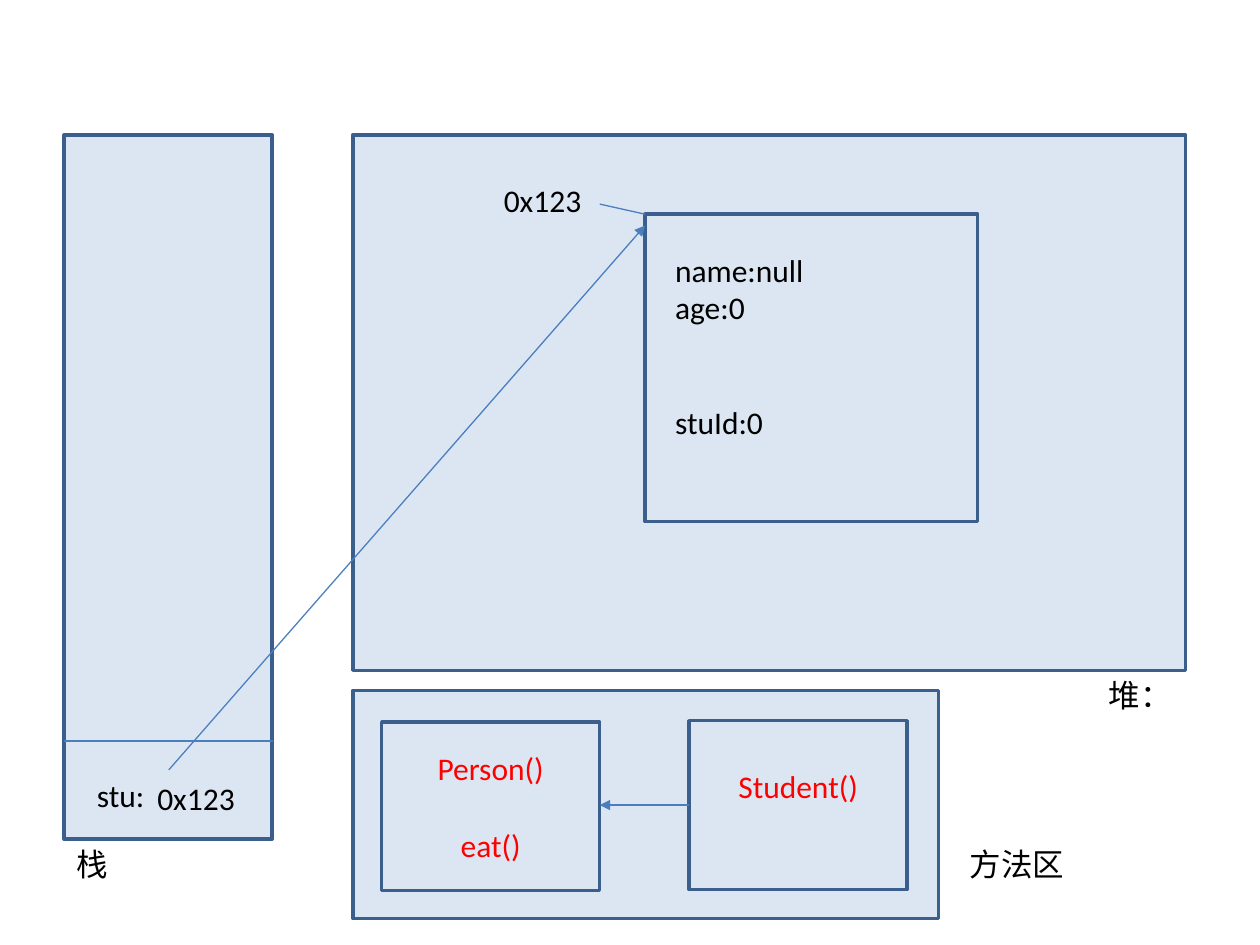
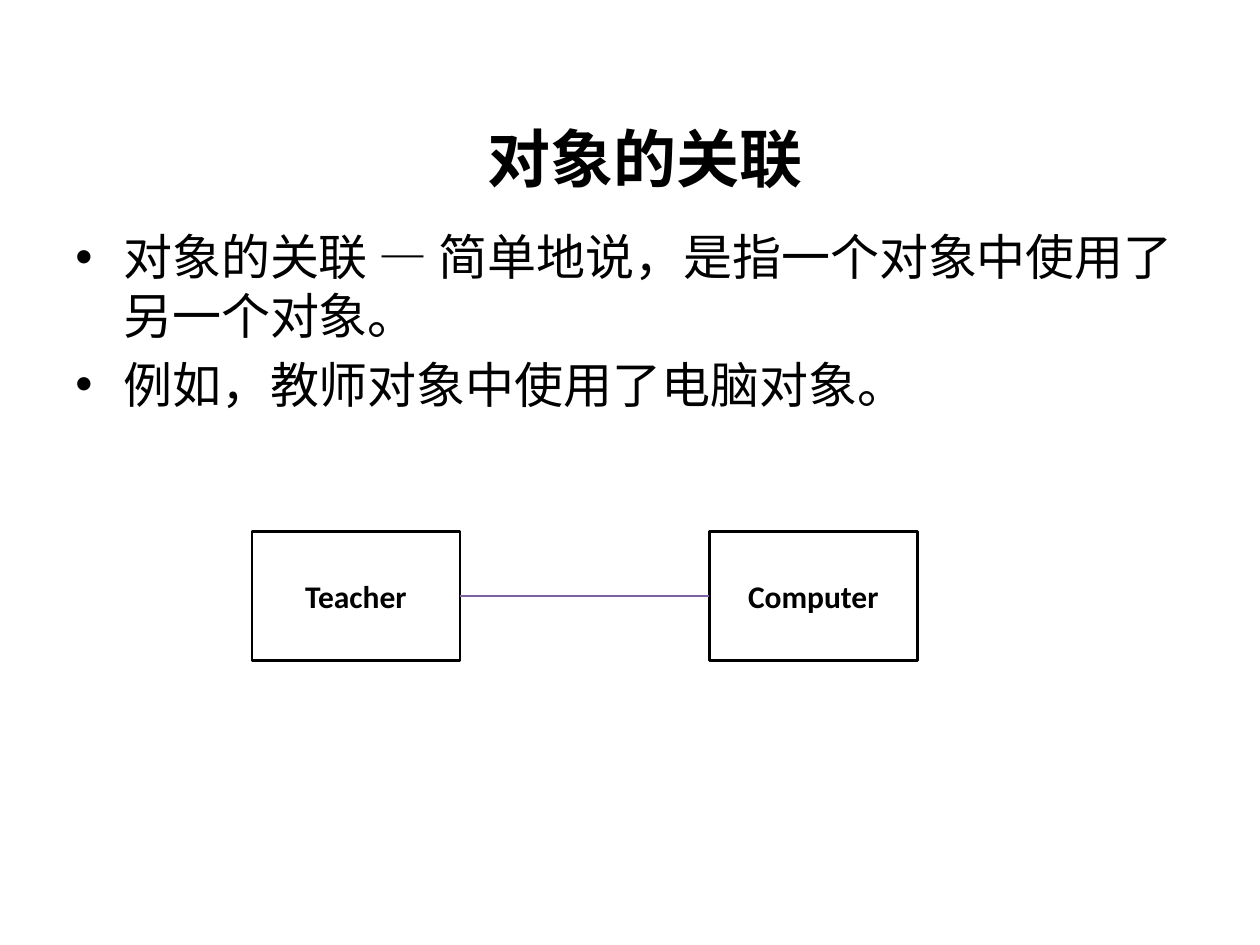
"""Build two slides on object memory layout and object association."""
from dataclasses import dataclass

from lxml import etree
from pptx import Presentation
from pptx.dml.color import RGBColor
from pptx.enum import shapes, text
from pptx.oxml import ns
from pptx.util import Inches, Pt


@dataclass(frozen=True)
class Theme:
    """Colours, fonts and type sizes."""
    ink: str = "000000"
    red: str = "FF0000"
    pale: str = "DCE6F2"
    edge: str = "3A5F8C"
    link: str = "4B7EBC"
    plum: str = "7D60A0"
    font: str = "Calibri"
    head: str = "Noto Sans CJK SC"
    small: float = 18
    body: float = 28
    title: float = 36
    row: float = 22


T = Theme()

AREAS = [(0.51, 1.07, 1.65, 5.59), (2.8, 1.07, 6.61, 4.25), (2.8, 5.48, 4.65, 1.81)]
OBJECT = (5.12, 1.7, 2.64, 2.44)
CLASSES = [
    ((3.03, 5.73, 1.73, 1.34), [("Person()", 0), ("eat()", 1)], 0.05),
    ((5.47, 5.72, 1.73, 1.34), [("Student()", 0)], 0.35),
]
LABELS = [
    ((0.51, 6.66, 1.42, 0.4), [("栈", 0)]),
    ((8.7, 5.32, 1.1, 0.4), [("堆：", 0)]),
    ((7.6, 6.66, 1.97, 0.4), [("方法区", 0)]),
    ((0.67, 6.11, 2.13, 0.4), [("stu:", 0)]),
    ((5.26, 1.94, 2.34, 1.62), [("name:null", 0), ("age:0", 0), ("stuId:0", 2)]),
    ((3.9, 1.39, 1.02, 0.4), [("0x123", 0)]),
    ((1.15, 6.13, 1.02, 0.4), [("0x123", 0)]),
]
LINKS = [
    ((5.47, 6.39), (4.76, 6.39), True),
    ((0.51, 5.88), (2.17, 5.88), False),
    ((5.12, 1.7), (4.76, 1.62), False),
    ((1.34, 6.11), (5.12, 1.79), True),
]

TITLE = "对象的关联"
POINTS = [
    "对象的关联 — 简单地说，是指一个对象中使用了另一个对象。",
    "例如，教师对象中使用了电脑对象。",
]
PAIR = ["Teacher", "Computer"]
LEFT, TOP, WIDE, HIGH, STEP = 2, 4.22, 1.65, 1.02, 3.63


def rgb(hue):
    return RGBColor.from_string(hue)


def style(par, size=T.small, hue=T.ink, bold=False, font=T.font):
    face = par.font
    face.name, face.size, face.bold = font, Pt(size), bold
    face.color.rgb = rgb(hue)


def write(frame, rows, hue=T.ink, bold=False, align=text.PP_ALIGN.LEFT):
    """Write (words, empty rows above) pairs as paragraphs."""
    frame.word_wrap = True
    for i, (words, gap) in enumerate(rows):
        par = frame.add_paragraph() if i else frame.paragraphs[0]
        par.text, par.alignment = words, align
        if gap:
            par.space_before = Pt(gap * T.row)
        style(par, hue=hue, bold=bold)


def box(slide, at, fill=T.pale, edge=T.edge, width=2):
    shape = slide.shapes.add_shape(shapes.MSO_SHAPE.RECTANGLE, *map(Inches, at))
    shape.shadow.inherit = False
    if fill:
        shape.fill.solid()
        shape.fill.fore_color.rgb = rgb(fill)
    else:
        shape.fill.background()
    shape.line.color.rgb, shape.line.width = rgb(edge), Pt(width)
    shape.text_frame.vertical_anchor = text.MSO_ANCHOR.MIDDLE
    return shape


def label(slide, at):
    return slide.shapes.add_textbox(*map(Inches, at)).text_frame


def link(slide, start, end, arrow=False, hue=T.link, width=0.75):
    line = slide.shapes.add_connector(
        shapes.MSO_CONNECTOR.STRAIGHT, *map(Inches, start + end))
    line.line.color.rgb, line.line.width = rgb(hue), Pt(width)
    if arrow:
        stroke = line.line._get_or_add_ln()
        etree.SubElement(stroke, ns.qn("a:tailEnd"), type="triangle")
    etree.SubElement(line._element.spPr, ns.qn("a:effectLst"))


def bullet(par):
    props = par._p.get_or_add_pPr()
    props.set("marL", str(Inches(0.38)))
    props.set("indent", str(-Inches(0.38)))
    etree.SubElement(props, ns.qn("a:buFont"), typeface="Arial")
    etree.SubElement(props, ns.qn("a:buChar"), char="•")


def memory(deck):
    """Draw the stack, the heap and the method area."""
    slide = deck.slides.add_slide(deck.slide_layouts[6])
    for at in AREAS:
        box(slide, at)
    for at, rows, foot in CLASSES:
        frame = box(slide, at).text_frame
        frame.margin_bottom = Inches(foot)
        write(frame, rows, T.red, align=text.PP_ALIGN.CENTER)
    box(slide, OBJECT)
    for at, rows in LABELS:
        write(label(slide, at), rows)
    for start, end, arrow in LINKS:
        link(slide, start, end, arrow)


def relate(deck):
    """Explain how one object uses another."""
    slide = deck.slides.add_slide(deck.slide_layouts[5])
    title = slide.shapes.title
    title.left, title.top, title.width, title.height = map(
        Inches, (0.62, 0.78, 9, 0.94))
    title.text_frame.text = TITLE
    title.text_frame.vertical_anchor = text.MSO_ANCHOR.MIDDLE
    style(title.text_frame.paragraphs[0], T.title, bold=True, font=T.head)

    frame = label(slide, (0.5, 1.75, 9, 4.95))
    frame.word_wrap = True
    for i, words in enumerate(POINTS):
        par = frame.add_paragraph() if i else frame.paragraphs[0]
        par.text = words
        if i:
            par.space_before = Pt(T.body * 0.2)
        bullet(par)
        style(par, T.body)

    for i, name in enumerate(PAIR):
        shape = box(slide, (LEFT + i * STEP, TOP, WIDE, HIGH), None, T.ink, 1.5)
        write(shape.text_frame, [(name, 0)], bold=True, align=text.PP_ALIGN.CENTER)
    mid = TOP + HIGH / 2
    link(slide, (LEFT + WIDE, mid), (LEFT + STEP, mid), hue=T.plum, width=1.5)


def main():
    deck = Presentation()
    deck.slide_width, deck.slide_height = Inches(10), Inches(7.5)
    memory(deck)
    relate(deck)
    deck.save("out.pptx")


if __name__ == "__main__":
    main()
